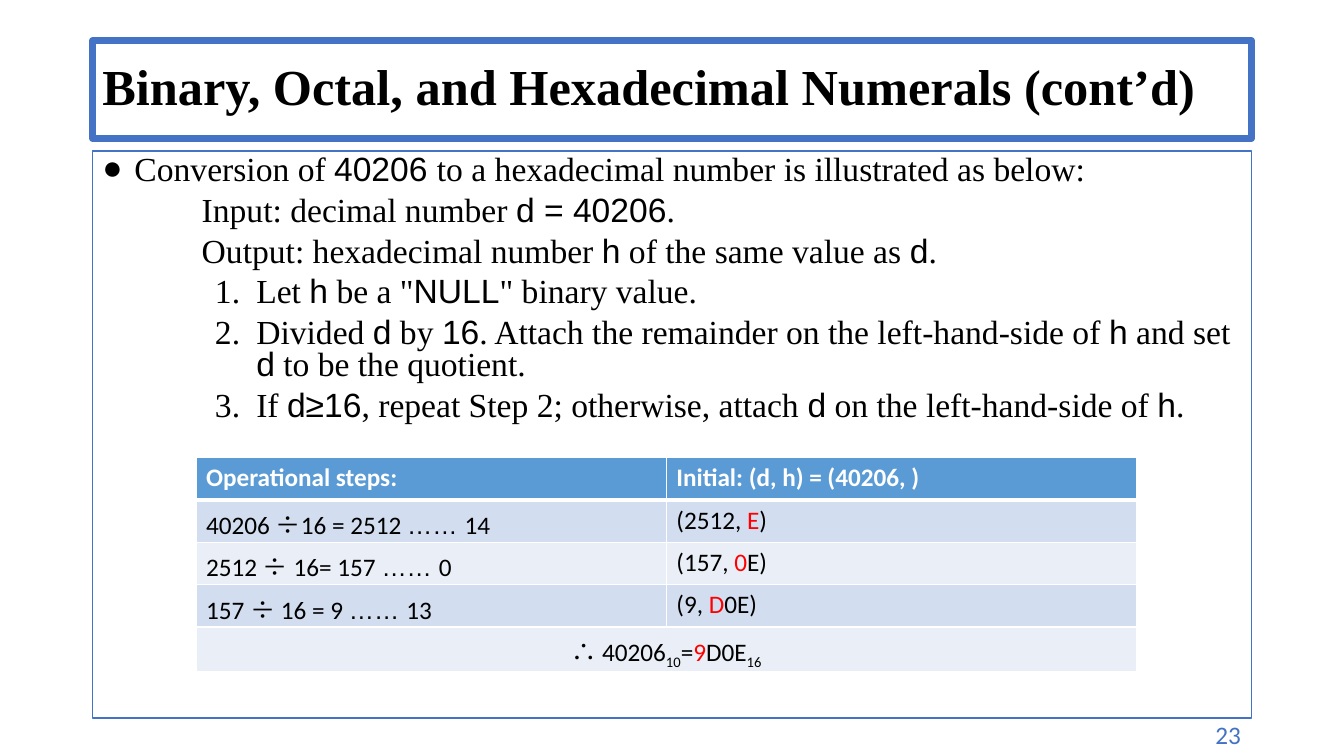
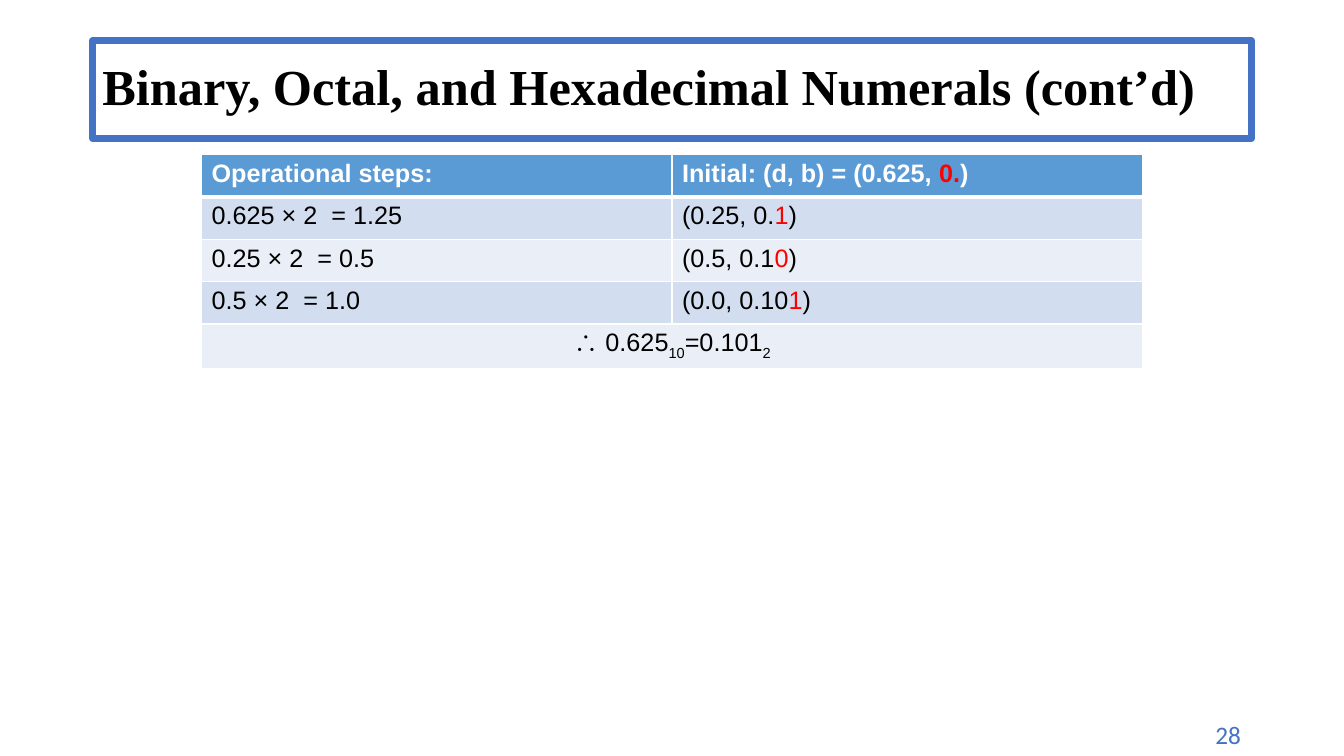
from itertools import cycle

from lxml.etree import SubElement
from pptx import Presentation
from pptx.dml.color import RGBColor
from pptx.enum.shapes import MSO_SHAPE as Preset
from pptx.enum.text import MSO_ANCHOR as Anchor, PP_ALIGN as Align
from pptx.oxml.ns import qn
from pptx.util import Pt

BLUE = RGBColor(0x44, 0x72, 0xC4)
HEADER_BLUE = RGBColor(0x5B, 0x9B, 0xD5)
BANDS = [RGBColor(0xEA, 0xEF, 0xF7), RGBColor(0xD2, 0xDE, 0xEF)]
BLACK = RGBColor(0, 0, 0)
WHITE = RGBColor(0xFF, 0xFF, 0xFF)
RED = RGBColor(0xFF, 0, 0)
SERIF, SANS, CALIBRI, CJK = "Times New Roman", "Arial", "Calibri", "Noto Sans CJK SC"

# Ways in which a run can differ from the rest of its paragraph
NEW_DIGIT = {"color": RED}
BASE = {"baseline": -25}
SYMBOL = {"font": CJK}
DOTS = {"font": SANS}

LEFT, WIDTH = 66, 828
TITLE = "Binary, Octal, and Hexadecimal Numerals (cont’d)"

# Arial parts of each line stand between bars; then left margin, first indent, bullet
BODY = [
    ("Conversion of |40206 |to a hexadecimal number is illustrated as below:", 23, -23, "dot"),
    ("Input: decimal number |d = 40206|.", 71, 0, None),
    ("Output: hexadecimal number |h| of the same value as |d|.", 71, 0, None),
    ('Let |h| be a "|NULL|" binary value.', 110, -29.5, "number"),
    ("Divided |d| by |16|. Attach the remainder on the left-hand-side of |h| and set "
     "|d| to be the quotient.", 110, -29.5, "number"),
    ("If |d≥16|, repeat Step 2; otherwise, attach |d| on the left-hand-side of |h|.",
     110, -29.5, "number"),
]

HEX_STEPS = [
    [["Operational steps:"], ["Initial: (d, h) = (40206, )"]],
    [["40206 ", ("÷", SYMBOL), "16 = 2512 ", ("…… ", DOTS), "14"],
     ["(2512, ", ("E", NEW_DIGIT), ")"]],
    [["2512 ", ("÷ ", SYMBOL), "16= 157 ", ("…… ", DOTS), "0"],
     ["(157, ", ("0", NEW_DIGIT), "E)"]],
    [["157 ", ("÷ ", SYMBOL), "16 = 9 ", ("…… ", DOTS), "13"],
     ["(9, ", ("D", NEW_DIGIT), "0E)"]],
    [[("∴ ", SYMBOL), "40206", ("10", BASE), "=", ("9", NEW_DIGIT), "D0E", ("16", BASE)]],
]
BINARY_STEPS = [
    [["Operational steps:"], ["Initial: (d, b) = (0.625, ", ("0.", NEW_DIGIT), ")"]],
    [["0.625 × 2  = 1.25"], ["(0.25, 0.", ("1", NEW_DIGIT), ")"]],
    [["0.25 × 2  = 0.5"], ["(0.5, 0.1", ("0", NEW_DIGIT), ")"]],
    [["0.5 × 2  = 1.0"], ["(0.0, 0.10", ("1", NEW_DIGIT), ")"]],
    [["∴ 0.625", ("10", BASE), "=0.101", ("2", BASE)]],
]

# Page number, body lines, table rows, table font, table left and top
PAGES = [
    ("23", BODY, HEX_STEPS, CALIBRI, 140, 327),
    ("28", [], BINARY_STEPS, SANS, 144, 110.5),
]


def add_runs(paragraph, parts, font, size, color=BLACK, bold=False):
    """Add each part, a string or a (string, differences) pair, as one run."""
    for part in parts:
        text, differences = (part, {}) if isinstance(part, str) else part
        run = paragraph.add_run()
        run.text = text
        run.font.name = differences.get("font", font)
        run.font.size = Pt(size)
        run.font.bold = bold
        run.font.color.rgb = differences.get("color", color)
        properties = run._r.get_or_add_rPr()
        if "baseline" in differences:
            properties.set("baseline", str(differences["baseline"] * 1000))
        if run.font.name == CJK:
            SubElement(properties, qn("a:ea"), typeface=CJK)


def add_frame(slide, top, height, line_width, anchor):
    """Add an outlined box across the content width and return its text frame."""
    box = slide.shapes.add_shape(Preset.RECTANGLE, Pt(LEFT), Pt(top), Pt(WIDTH), Pt(height))
    box.shadow.inherit = False
    box.fill.background()
    box.line.color.rgb = BLUE
    box.line.width = Pt(line_width)
    box.text_frame.word_wrap = True
    box.text_frame.vertical_anchor = anchor
    return box.text_frame


deck = Presentation()
deck.slide_width, deck.slide_height = Pt(960), Pt(540)

for page_number, body_lines, steps, table_font, table_left, table_top in PAGES:
    slide = deck.slides.add_slide(deck.slide_layouts[6])

    number_frame = slide.shapes.add_textbox(Pt(780.5), Pt(510), Pt(113), Pt(29)).text_frame
    number_frame.word_wrap = True
    number_frame.paragraphs[0].alignment = Align.RIGHT
    add_runs(number_frame.paragraphs[0], [page_number], CALIBRI, 18, BLUE)

    heading = add_frame(slide, 29, 70, 4.5, Anchor.MIDDLE).paragraphs[0]
    heading.alignment = Align.LEFT
    heading.line_spacing = 0.9
    add_runs(heading, [TITLE], SERIF, 36, bold=True)

    if body_lines:
        body = add_frame(slide, 108, 405, 1, Anchor.TOP)
    for index, (line, margin, indent, bullet) in enumerate(body_lines):
        paragraph = body.add_paragraph() if index else body.paragraphs[0]
        paragraph.alignment = Align.LEFT
        paragraph.line_spacing = 0.8
        paragraph.space_before = Pt(6)
        properties = paragraph._p.get_or_add_pPr()
        properties.set("marL", str(Pt(margin)))
        properties.set("indent", str(Pt(indent)))
        if bullet == "dot":
            SubElement(properties, qn("a:buFont"), typeface=SANS)
            SubElement(properties, qn("a:buChar"), char="●")
        elif bullet == "number":
            SubElement(properties, qn("a:buAutoNum"), type="arabicPeriod")
        for text, font in zip(line.split("|"), cycle([SERIF, SANS])):
            add_runs(paragraph, [text], font, 24)

    table = slide.shapes.add_table(len(steps), 2, Pt(table_left), Pt(table_top),
                                   Pt(672), Pt(30.24 * len(steps))).table
    table.first_row = table.horz_banding = False
    for row, cells in enumerate(steps):
        is_header = row == 0
        if len(cells) == 1:
            table.cell(row, 0).merge(table.cell(row, 1))
            table.cell(row, 0).text_frame.paragraphs[0].alignment = Align.CENTER
        for column in range(2):
            cell = table.cell(row, column)
            border_widths = {"L": 1, "R": 1, "T": 3 if row == 1 else 1, "B": 3 if is_header else 1}
            for side, width in border_widths.items():
                border = SubElement(cell._tc.get_or_add_tcPr(), qn(f"a:ln{side}"), w=str(Pt(width)))
                SubElement(SubElement(border, qn("a:solidFill")), qn("a:srgbClr"), val=str(WHITE))
            cell.fill.solid()
            cell.fill.fore_color.rgb = HEADER_BLUE if is_header else BANDS[row % 2]
        for column, parts in enumerate(cells):
            add_runs(table.cell(row, column).text_frame.paragraphs[0], parts, table_font, 18,
                     WHITE if is_header else BLACK, bold=is_header)

deck.save("out.pptx")
